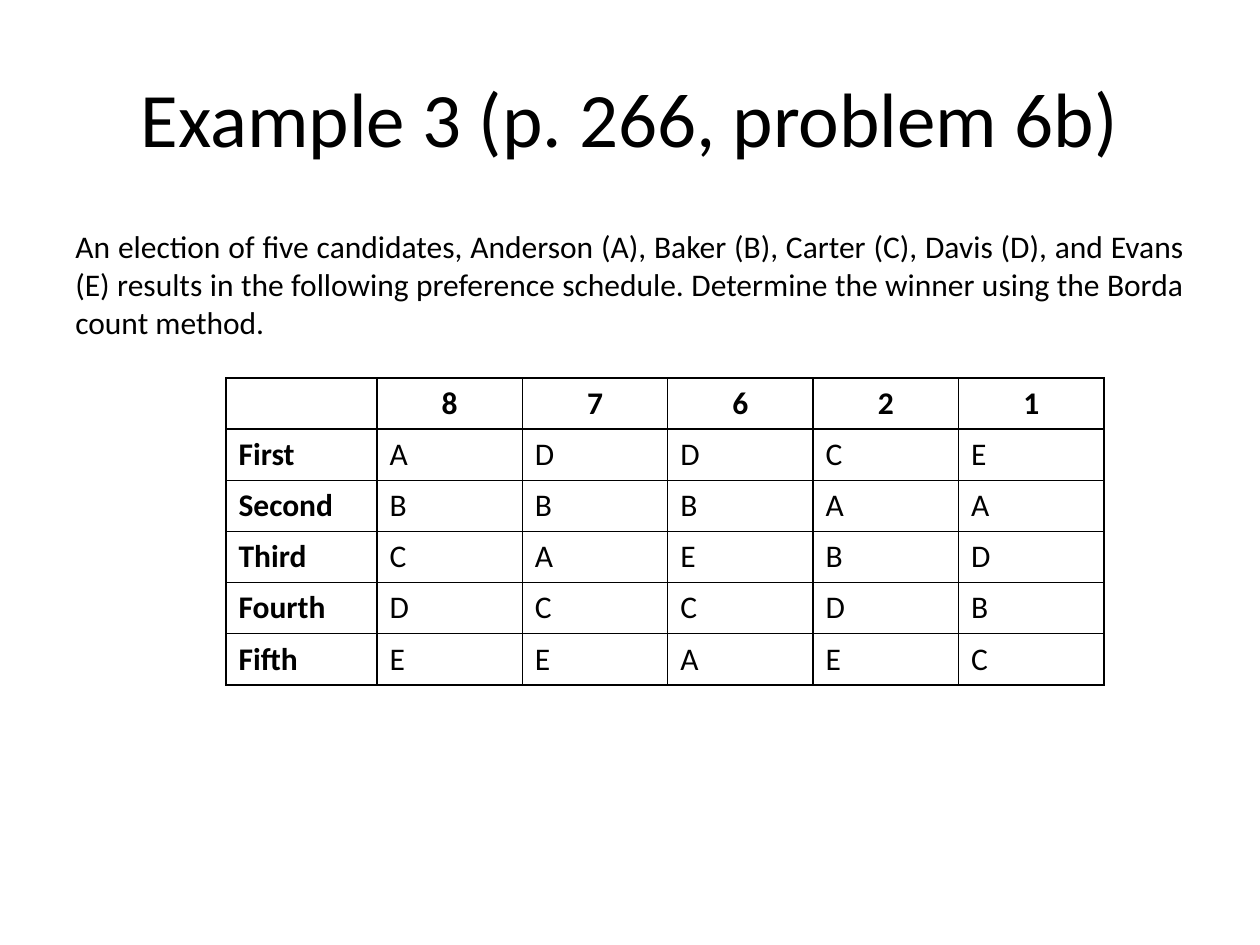
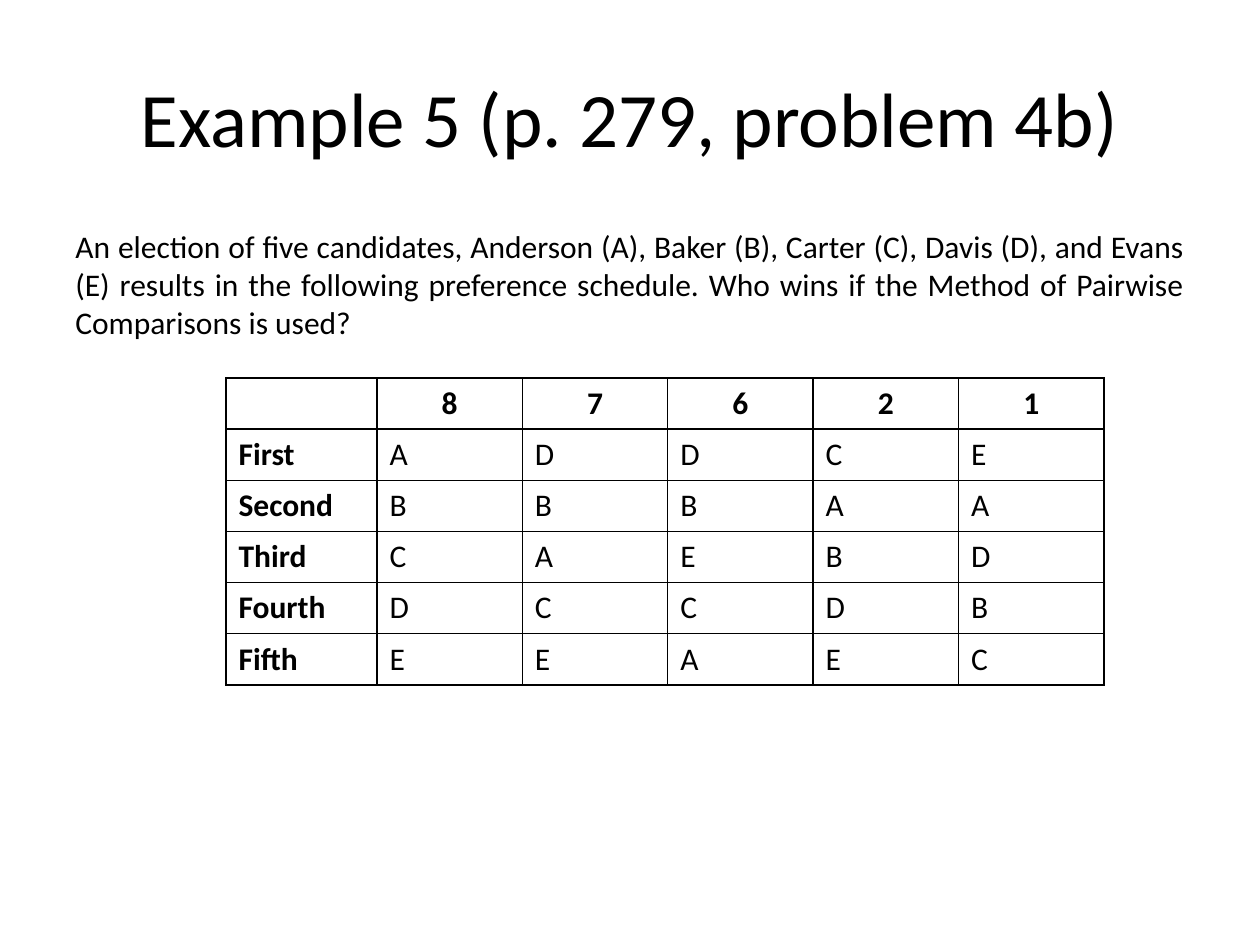
import pptx
import pptx.util
import pptx.dml.color
import pptx.enum.text
import pptx.oxml
import pptx.oxml.ns

ALIGN = pptx.enum.text.PP_ALIGN
ANCHOR = pptx.enum.text.MSO_ANCHOR
COLORS = {"ink": "000000", "paper": "FFFFFF"}
INTRO = ("An election of five candidates, Anderson (A), Baker (B), Carter (C), "
         "Davis (D), and Evans (E) results in the following preference schedule. ")
TASKS = [
    ("Example 3 (p. 266, problem 6b)",
     "Determine the winner using the Borda count method."),
    ("Example 5 (p. 279, problem 4b)",
     "Who wins if the Method of Pairwise Comparisons is used?"),
]
VOTES = [
    ["", "8", "7", "6", "2", "1"],
    ["First", "A", "D", "D", "C", "E"],
    ["Second", "B", "B", "B", "A", "A"],
    ["Third", "C", "A", "E", "B", "D"],
    ["Fourth", "D", "C", "C", "D", "B"],
    ["Fifth", "E", "E", "A", "E", "C"],
]


def px(num):
    return pptx.util.Emu(round(num * 914400 / 126))


class Deck:
    font = "Calibri"

    def __init__(self, wide, high):
        self.show = pptx.Presentation()
        self.show.slide_width = px(wide)
        self.show.slide_height = px(high)

    def page(self):
        self.slide = self.show.slides.add_slide(self.show.slide_layouts[6])
        fill = self.slide.background.fill
        fill.solid()
        fill.fore_color.rgb = self.color("paper")

    def color(self, name):
        return pptx.dml.color.RGBColor.from_string(COLORS[name])

    def put(self, frame, text, size, align, bold=False):
        para = frame.paragraphs[0]
        para.alignment = align
        para.font.size = pptx.util.Pt(size)
        if text:
            run = para.add_run()
            run.text = text
            run.font.name = self.font
            run.font.size = pptx.util.Pt(size)
            run.font.bold = bold
            run.font.color.rgb = self.color("ink")

    def text(self, left, top, wide, high, text, size, align, anchor):
        box = self.slide.shapes.add_textbox(px(left), px(top), px(wide), px(high))
        frame = box.text_frame
        frame.word_wrap = True
        frame.vertical_anchor = anchor
        self.put(frame, text, size, align)

    def title(self, text):
        self.text(63, 38, 1134, 157, text, 44, ALIGN.CENTER, ANCHOR.MIDDLE)

    def body(self, text):
        self.text(63, 221, 1134, 157, text, 18, ALIGN.JUSTIFY, ANCHOR.TOP)

    def border(self, cell):
        props = cell._tc.get_or_add_tcPr()
        for spot, side in enumerate("LRTB"):
            line = pptx.oxml.parse_xml(
                f'<a:ln{side} {pptx.oxml.ns.nsdecls("a")} w="12700"><a:solidFill>'
                f'<a:srgbClr val="{COLORS["ink"]}"/></a:solidFill></a:ln{side}>')
            props.insert(spot, line)

    def table(self, left, top, wide, high, first, rows):
        count = len(rows[0])
        grid = self.slide.shapes.add_table(
            len(rows), count, px(left), px(top), px(wide), px(high)).table
        for spot, col in enumerate(grid.columns):
            col.width = px((wide - first) / (count - 1) if spot else first)
        for r, row in enumerate(rows):
            grid.rows[r].height = px(high / len(rows))
            for c, text in enumerate(row):
                cell = grid.cell(r, c)
                cell.fill.background()
                self.border(cell)
                align = ALIGN.LEFT if r else ALIGN.CENTER
                self.put(cell.text_frame, text, 18, align, r == 0 or c == 0)


def main():
    deck = Deck(1260, 945)
    for title, task in TASKS:
        deck.page()
        deck.title(title)
        deck.body(INTRO + task)
        deck.table(226, 378, 878, 307, 151, VOTES)
    deck.show.save("out.pptx")


if __name__ == "__main__":
    main()
